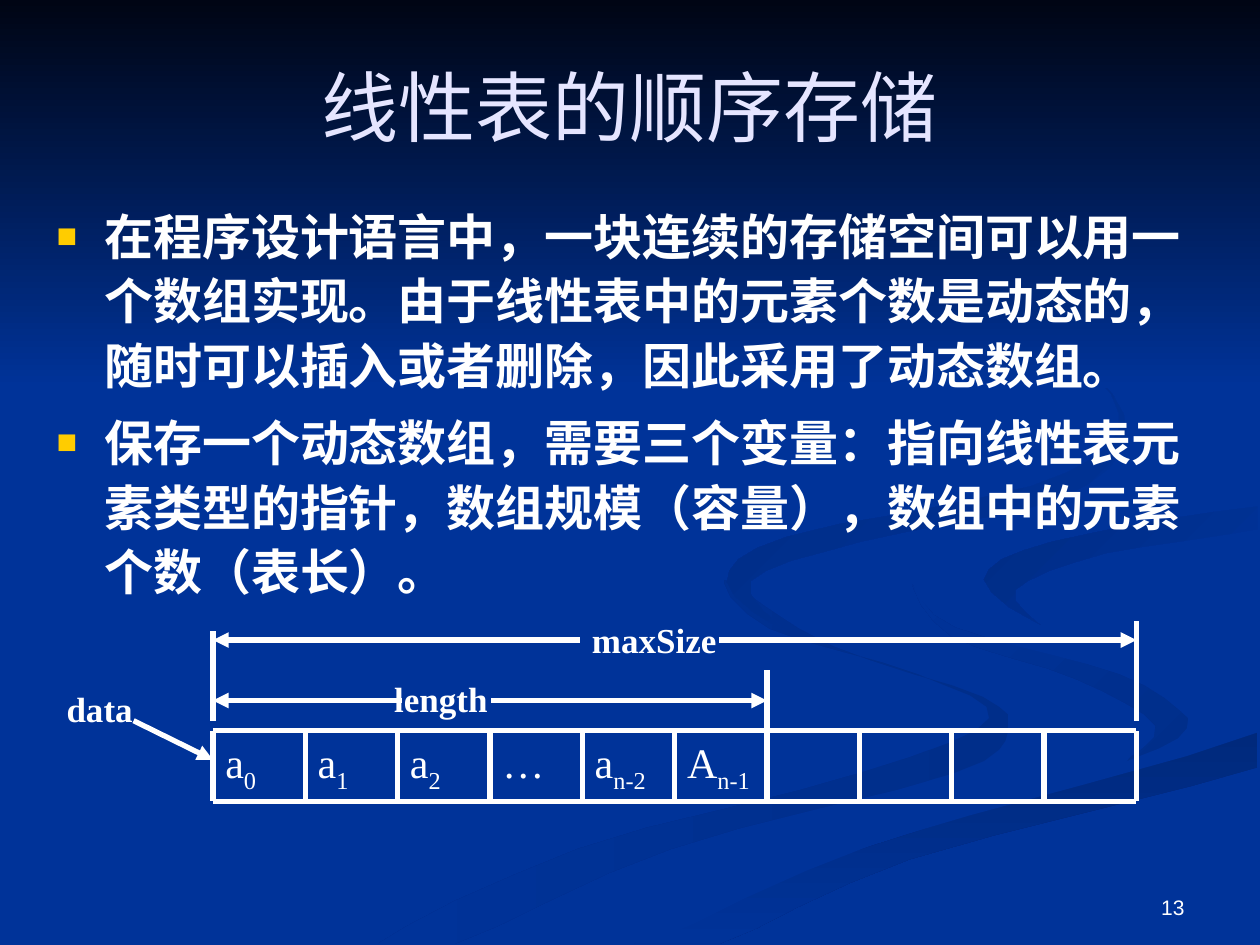
"""Build the slide on sequential storage of a linear list, on a grid of 10 columns by 7.5 rows."""
from dataclasses import dataclass
from typing import Optional

from lxml import etree
from pptx import Presentation
from pptx.dml.color import RGBColor
from pptx.enum.shapes import MSO_CONNECTOR, MSO_SHAPE
from pptx.enum.text import MSO_ANCHOR, PP_ALIGN
from pptx.oxml.ns import qn
from pptx.util import Inches, Pt

STRAIGHT = MSO_CONNECTOR.STRAIGHT
RECT = MSO_SHAPE.RECTANGLE
LEFT, MID, RIGHT = PP_ALIGN.LEFT, PP_ALIGN.CENTER, PP_ALIGN.RIGHT
TOP, CENTRE, BOTTOM = MSO_ANCHOR.TOP, MSO_ANCHOR.MIDDLE, MSO_ANCHOR.BOTTOM
COLS, ROWS = 10, 7.5
UNIT = Inches(10) // COLS
FINE = 100
HUE = {"back": "003399", "night": "000514", "title": "E5E5FF", "text": "FFFFFF",
       "mark": "FFCC00", "dusk": "002E8A", "deep": "00297C", "haze": "002C85", "shade": "002B81"}
CJK, SERIF = "Noto Sans CJK SC", "Times New Roman"
STYLE = {
    "title": {"size": Pt(44), "name": SERIF, "bold": False},
    "body": {"size": Pt(28), "name": CJK, "bold": True},
    "cell": {"size": Pt(24), "name": SERIF, "bold": False},
    "label": {"size": Pt(20), "name": SERIF, "bold": True},
    "page": {"size": Pt(12), "name": "Arial", "bold": False},
}
CELLS = (("a", "0"), ("a", "1"), ("a", "2"), ("…", ""), ("a", "n-2"), ("A", "n-1"))
SLOTS, EDGE, STEP, ROOF, FLOOR = 10, 1.69, 0.733, 5.8, 6.36
END = EDGE + SLOTS * STEP
SPLIT = EDGE + len(CELLS) * STEP
SPAN, FILL = 5.08, 5.56


@dataclass(frozen=True)
class Swoosh:
    first: str
    last: str
    angle: int
    dots: tuple[tuple[float, float], ...]


@dataclass(frozen=True)
class Box:
    x: float
    y: float
    w: float
    h: float
    style: str
    paras: tuple[str, ...]
    hue: str = "text"
    align: PP_ALIGN = LEFT
    anchor: MSO_ANCHOR = TOP
    sub: str = ""
    mark: bool = False


@dataclass(frozen=True)
class Line:
    x1: float
    y1: float
    x2: float
    y2: float
    arrow: bool = False


SWOOSHES = (
    Swoosh("dusk", "back", 180, (
        (7.8, 5.53), (6.61, 5.13), (5.75, 4.6), (6.11, 4.99), (7.28, 5.35), (7.85, 5.7),
        (6.84, 6.13), (4.58, 6.74), (3, 7.49), (3.61, 7.49), (5.32, 6.74), (7.56, 6.14),
        (8, 5.81))),
    Swoosh("dusk", "back", 225, (
        (9.43, 5.7), (8.88, 5.35), (7.58, 4.98), (7.24, 4.64), (7.55, 5.05), (8.54, 5.39),
        (9.17, 5.76), (8.94, 6.05), (9.37, 5.86))),
    Swoosh("deep", "back", 90, (
        (5.03, 7.49), (5.71, 7.49), (7.22, 6.82), (9.98, 6.09), (9.98, 5.81), (7.97, 6.38),
        (6.3, 6.93))),
    Swoosh("back", "back", 0, (
        (7.25, 4.64), (7.75, 5.03), (8.89, 5.35), (9.43, 5.7), (8.92, 6.05), (6.63, 6.68),
        (4.77, 7.49), (5.19, 7.47), (6.96, 6.69), (9.99, 5.81), (9.99, 5.38), (8.48, 5.03),
        (7.81, 4.63), (8.35, 4.3), (9.99, 4.02), (9.99, 3.87), (7.88, 4.22))),
    Swoosh("back", "haze", 225, (
        (7.81, 4.6), (8.26, 4.96), (8.06, 4.68), (8.78, 4.39), (9.98, 4.2), (9.98, 4.02),
        (8.35, 4.3))),
    Swoosh("back", "shade", 225, (
        (6.83, 4.3), (8.41, 3.96), (8.94, 3.44), (8.54, 2.83), (7.62, 2.33), (8.55, 2.85),
        (8.88, 3.41), (8.18, 3.86), (6.25, 4.26), (5.77, 4.62), (6.22, 5), (5.96, 4.61))),
)
TEXTS = (
    Box(0.75, 0.21, 8.5, 1.25, "title", ("线性表的顺序存储",), "title", MID, CENTRE),
    Box(0.35, 1.54, 9.25, 3.7, "body", (
        "在程序设计语言中，一块连续的存储空间可以用一个数组实现。由于线性表中的元素个数是动态的，"
        "随时可以插入或者删除，因此采用了动态数组。",
        "保存一个动态数组，需要三个变量：指向线性表元素类型的指针，数组规模（容量），"
        "数组中的元素个数（表长）。"), mark=True),
    Box(3.03, 5.33, 0.94, 0.44, "label", ("length",)),
    Box(0.43, 5.41, 0.87, 0.44, "label", ("data",)),
    Box(7.17, 6.83, 2.33, 0.52, "page", ("13",), align=RIGHT, anchor=BOTTOM),
)
SIZE = Box(4.6, SPAN - 0.22, 1.26, 0.44, "label", ("maxSize",))
LINES = (
    Line(EDGE, 5.01, EDGE, 5.72), Line(END, 4.93, END, 5.72), Line(SPLIT, 5.32, SPLIT, ROOF),
    Line(5.71, SPAN, END, SPAN, True), Line(3.9, FILL, SPLIT, FILL, True),
    Line(3.19, FILL, EDGE, FILL, True), Line(1.06, 5.72, EDGE, 6.03, True),
)


def tint(key: str) -> RGBColor:
    """Return a named colour."""
    return RGBColor.from_string(HUE[key])


def grid(*spots: float) -> list[int]:
    """Turn grid places into lengths."""
    return [round(spot * UNIT) for spot in spots]


def blend(shape, first: str, last: str, angle: int) -> None:
    """Fill a shape with a gradient running clockwise from the right."""
    shape.shadow.inherit = False
    shape.line.fill.background()
    if first == last:
        shape.fill.solid()
        shape.fill.fore_color.rgb = tint(first)
        return
    shape.fill.gradient()
    shape.fill.gradient_angle = (360 - angle) % 360
    for stop, key in zip(shape.fill.gradient_stops, (first, last)):
        stop.color.rgb = tint(key)


def ease(a: float, b: float, c: float, d: float, t: float) -> float:
    """Return the Catmull-Rom value between b and c, kept between them."""
    value = b + t / 2 * (c - a + t * (2 * a - 5 * b + 4 * c - d + t * (3 * (b - c) + d - a)))
    return min(max(value, min(b, c)), max(b, c))


def curve(dots: tuple, parts: int = 4) -> list[tuple[int, int]]:
    """Round off a closed outline."""
    count = len(dots)
    path = []
    for i in range(count):
        near = [dots[(i + k) % count] for k in range(-1, 3)]
        for part in range(parts):
            path.append(tuple(round(FINE * ease(*axis, part / parts)) for axis in zip(*near)))
    return path


def sweep(shapes, item: Swoosh) -> None:
    """Draw one swoosh."""
    path = curve(item.dots)
    pen = shapes.build_freeform(*path[0], scale=UNIT / FINE)
    pen.add_line_segments(path[1:], close=True)
    blend(pen.convert_to_shape(), item.first, item.last, item.angle)


def bullet(para) -> None:
    """Give a paragraph a square bullet and a hanging indent."""
    props = para._p.get_or_add_pPr()
    props.set("marL", str(Inches(0.38)))
    props.set("indent", str(-Inches(0.38)))
    paint = etree.SubElement(props, qn("a:buClr"))
    etree.SubElement(paint, qn("a:srgbClr"), val=HUE["mark"])
    etree.SubElement(props, qn("a:buSzPct"), val="70000")
    etree.SubElement(props, qn("a:buFont"), typeface="Arial")
    etree.SubElement(props, qn("a:buChar"), char="■")
    para.line_spacing = 1.1


def write(para, text: str, box: Box, base: int = 0) -> None:
    """Add a run in the style of its box."""
    run = para.add_run()
    run.text = text
    for name, value in STYLE[box.style].items():
        setattr(run.font, name, value)
    run.font.color.rgb = tint(box.hue)
    props = run._r.get_or_add_rPr()
    etree.SubElement(props, qn("a:ea"), typeface=CJK)
    if base:
        props.set("baseline", str(base))


def label(shapes, box: Box):
    """Draw a text box."""
    shape = shapes.add_textbox(*grid(box.x, box.y, box.w, box.h))
    frame = shape.text_frame
    frame.word_wrap = True
    frame.vertical_anchor = box.anchor
    for i, text in enumerate(box.paras):
        para = frame.add_paragraph() if i else frame.paragraphs[0]
        if box.mark:
            bullet(para)
        para.alignment = box.align
        para.space_before = Pt(7 if i else 0)
        write(para, text, box)
        if box.sub:
            write(para, box.sub, box, -25000)
    return shape


def rule(shapes, line: Line, start: Optional[tuple] = None) -> None:
    """Draw a line, with an arrowhead or a joined start if asked."""
    link = shapes.add_connector(STRAIGHT, *grid(line.x1, line.y1, line.x2, line.y2))
    link.line.color.rgb = tint("text")
    link.line.width = Pt(3)
    if line.arrow:
        etree.SubElement(link.line._get_or_add_ln(), qn("a:tailEnd"), type="triangle")
    etree.SubElement(link._element.spPr, qn("a:effectLst"))
    if start:
        link.begin_connect(*start)


def main() -> None:
    """Build and save the slide."""
    deck = Presentation()
    deck.slide_width, deck.slide_height = grid(COLS, ROWS)
    slide = deck.slides.add_slide(deck.slide_layouts[6])
    shapes = slide.shapes
    slide.background.fill.solid()
    slide.background.fill.fore_color.rgb = tint("back")
    for item in SWOOSHES:
        sweep(shapes, item)
    blend(shapes.add_shape(RECT, *grid(0, 0, COLS, 3.08)), "night", "back", 90)
    for i, (text, sub) in enumerate(CELLS):
        label(shapes, Box(EDGE + i * STEP, ROOF, STEP, FLOOR - ROOF, "cell", (text,), sub=sub))
    ties = [Line(EDGE, y, END, y) for y in (ROOF, FLOOR)]
    ties += [Line(x, ROOF, x, FLOOR) for x in (EDGE + i * STEP for i in range(SLOTS + 1))]
    for box in TEXTS:
        label(shapes, box)
    for line in (*ties, *LINES):
        rule(shapes, line)
    rule(shapes, Line(SIZE.x, SPAN, EDGE, SPAN, True), (label(shapes, SIZE), 1))
    deck.save("out.pptx")


if __name__ == "__main__":
    main()
